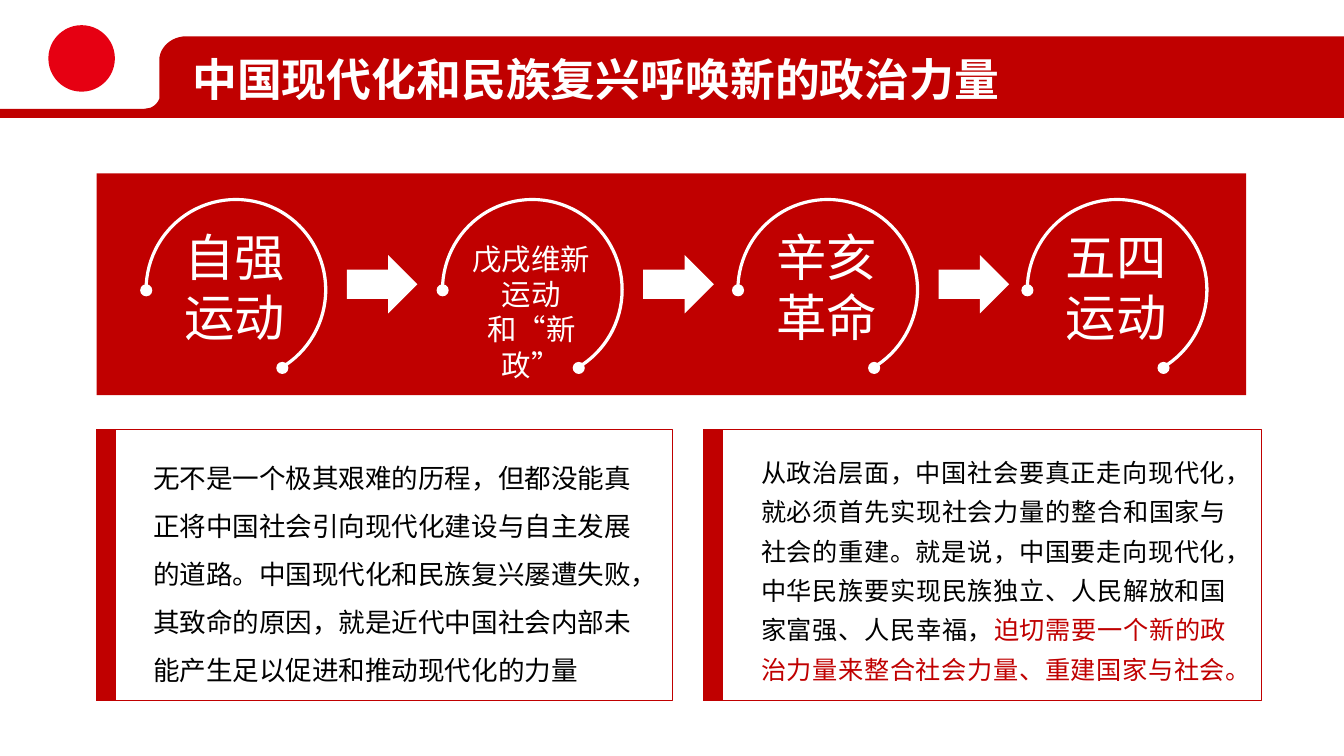
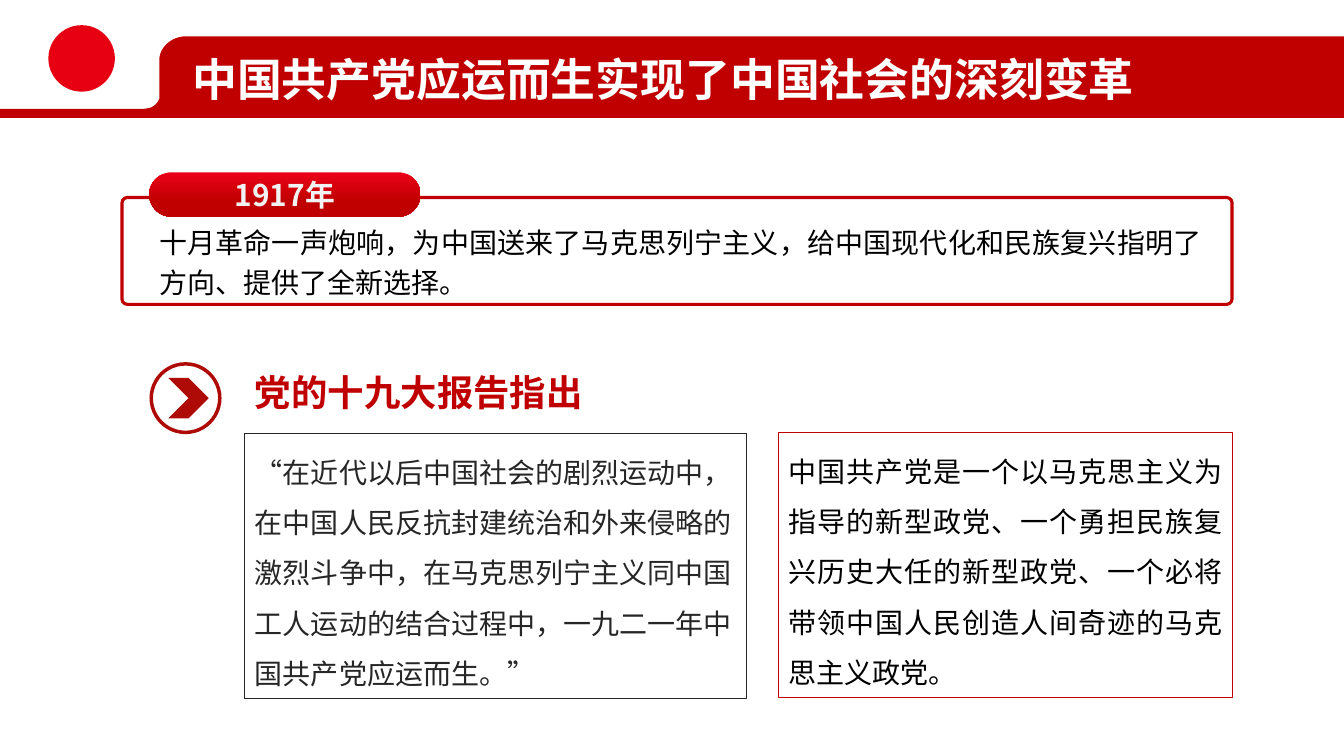
from lxml.etree import SubElement
from pptx import Presentation
from pptx.dml.color import RGBColor
from pptx.enum.lang import MSO_LANGUAGE_ID
from pptx.enum.shapes import MSO_SHAPE
from pptx.enum.text import MSO_ANCHOR, PP_ALIGN
from pptx.oxml.ns import qn
from pptx.util import Pt

PX = 9144
FONT = "Noto Sans CJK SC"
RED = RGBColor(0xC0, 0x00, 0x00)
BRIGHT_RED = RGBColor(0xE6, 0x00, 0x12)
BADGE_RED = RGBColor(0xEA, 0x01, 0x18)
DEEP_RED = RGBColor(0xAF, 0x0B, 0x06)
WHITE = RGBColor(0xFF, 0xFF, 0xFF)
PALE = RGBColor(0xF2, 0xF2, 0xF2)
DARK = RGBColor(0x26, 0x26, 0x26)
BLACK = RGBColor(0x00, 0x00, 0x00)


def curve(start, first, second, end, steps=12):
    points = []
    for step in range(steps + 1):
        t = step / steps
        weights = ((1 - t) ** 3, 3 * t * (1 - t) ** 2, 3 * t * t * (1 - t), t ** 3)
        corners = tuple(zip(start, first, second, end))
        points.append(tuple(sum(w * c for w, c in zip(weights, axis)) for axis in corners))
    return points


class SlideBuilder:
    def __init__(self, deck):
        self.deck = deck
        self.slide = None

    def new_slide(self, title):
        self.slide = self.deck.slides.add_slide(self.deck.slide_layouts[6])
        self.band()
        self.shape(MSO_SHAPE.OVAL, (48, 25, 66, 66), BRIGHT_RED)
        self.text((181, 20, 1100, 115), [title], 32, WHITE, bold=True, anchor=MSO_ANCHOR.MIDDLE)

    def band(self):
        outline = [(1333, 36), (1333, 117), (0, 117), (0, 108), (143, 108)]
        outline += curve((149, 107), (154, 105), (157, 101), (158, 98))
        outline += curve((158, 60), (158, 47), (170, 36), (185, 36))
        builder = self.slide.shapes.build_freeform(185 * PX, 36 * PX)
        builder.add_line_segments([(x * PX, y * PX) for x, y in outline])
        self.paint(builder.convert_to_shape(), RED, None, 0)

    def paint(self, shape, fill, line, width):
        shape.shadow.inherit = False
        if fill is None:
            shape.fill.background()
        else:
            shape.fill.solid()
            shape.fill.fore_color.rgb = fill
        if line is None:
            shape.line.fill.background()
        else:
            shape.line.color.rgb = line
            shape.line.width = Pt(width)

    def shape(self, kind, place, fill=None, line=None, width=1, adjust=()):
        shape = self.slide.shapes.add_shape(kind, *[value * PX for value in place])
        self.paint(shape, fill, line, width)
        for index, value in enumerate(adjust):
            shape.adjustments[index] = value
        return shape

    def text(self, place, paragraphs, size, color, **style):
        box = self.slide.shapes.add_textbox(*[value * PX for value in place])
        self.set_text(box, paragraphs, size, color, **style)
        return box

    def set_text(self, box, paragraphs, size, color, bold=False, align=PP_ALIGN.LEFT,
                 spacing=1.0, anchor=MSO_ANCHOR.TOP, wrap=True):
        frame = box.text_frame
        frame.word_wrap = wrap
        frame.vertical_anchor = anchor
        frame.text = "\n".join(paragraphs)
        for para in frame.paragraphs:
            para.alignment = align
            para.line_spacing = spacing
            for span in para.runs:
                self.style_span(span, size, color, bold)

    def style_span(self, span, size, color, bold=False):
        font = span.font
        font.size = Pt(size)
        font.bold = bold
        font.color.rgb = color
        font.name = FONT
        font.language_id = MSO_LANGUAGE_ID.SIMPLIFIED_CHINESE
        SubElement(font._element, qn("a:ea")).set("typeface", FONT)

    def stage(self, left, lines, size, drop):
        top = 197
        self.shape(MSO_SHAPE.BLOCK_ARC, (left, top, 180, 181), WHITE, WHITE, 1, (108, 36, 0.01))
        for across, down in ((130, 162), (-5, 85)):
            self.shape(MSO_SHAPE.OVAL, (left + across, top + down, 12, 12), WHITE)
        self.text((left + 20, top + drop, 138, 131), lines, size, WHITE, align=PP_ALIGN.CENTER)

    def panel(self, left, width):
        for part, fill in ((width, WHITE), (18, RED)):
            self.shape(MSO_SHAPE.RECTANGLE, (left, 426, part, 269), fill, RED)

    def badge(self, place, label):
        badge = self.shape(MSO_SHAPE.ROUNDED_RECTANGLE, place, RED, adjust=(0.5,))
        badge.fill.gradient()
        badge.fill.gradient_angle = 270
        for stop, color, position in zip(badge.fill.gradient_stops, (BADGE_RED, RED), (0, 0.65)):
            stop.color.rgb = color
            stop.position = position
        self.set_text(badge, [label], 21.3, PALE, bold=True, align=PP_ALIGN.CENTER,
                      anchor=MSO_ANCHOR.MIDDLE)

    def quote(self, place, content, color, line, align):
        box = self.shape(MSO_SHAPE.RECTANGLE, place, None, line, 0.75)
        self.set_text(box, [content], 20, color, align=align, spacing=1.5)


def movements(builder):
    builder.new_slide("中国现代化和民族复兴呼唤新的政治力量")
    builder.shape(MSO_SHAPE.RECTANGLE, (96, 172, 1140, 220), RED)
    stages = (
        (144, ["自强", "运动"], 36, 22),
        (438, ["戊戌维新运动和“新政”"], 21, 37),
        (731, ["辛亥革命"], 36, 22),
        (1018, ["五四运动"], 36, 22),
    )
    for stage in stages:
        builder.stage(*stage)
    for left, *_ in stages[:-1]:
        builder.shape(MSO_SHAPE.RIGHT_ARROW, (left + 200, 253, 70, 58), WHITE)

    builder.panel(96, 571)
    builder.text(
        (142, 438, 504, 250),
        ["无不是一个极其艰难的历程，但都没能真正将中国社会引向现代化建设与自主发展的道路。"
         "中国现代化和民族复兴屡遭失败，其致命的原因，就是近代中国社会内部未能产生足以促进和推动现代化的力量"],
        19, BLACK, spacing=1.5)
    builder.panel(698, 553)
    box = builder.text(
        (745, 440, 481, 246),
        ["从政治层面，中国社会要真正走向现代化，就必须首先实现社会力量的整合和国家与社会的重建。"
         "就是说，中国要走向现代化，中华民族要实现民族独立、人民解放和国家富强、人民幸福，"],
        18, BLACK, align=PP_ALIGN.JUSTIFY, spacing=1.3)
    span = box.text_frame.paragraphs[0].add_run()
    span.text = "迫切需要一个新的政治力量来整合社会力量、重建国家与社会。"
    builder.style_span(span, 18, RED)


def founding(builder):
    builder.new_slide("中国共产党应运而生实现了中国社会的深刻变革")
    builder.text(
        (148, 212, 1054, 91),
        ["十月革命一声炮响，为中国送来了马克思列宁主义，给中国现代化和民族复兴指明了方向、提供了全新选择。"],
        20, BLACK, align=PP_ALIGN.JUSTIFY, spacing=1.2)
    builder.shape(MSO_SHAPE.ROUNDED_RECTANGLE, (121, 196, 1101, 106), None, RED, 2.25, (0.05,))
    builder.badge((148, 171, 269, 44), "1917年")

    builder.shape(MSO_SHAPE.OVAL, (150, 361, 68, 68), None, DEEP_RED, 2.5)
    builder.shape(MSO_SHAPE.CHEVRON, (167, 375, 40, 40), DEEP_RED, adjust=(0.5,))
    builder.text((243, 362, 348, 54), ["党的十九大报告指出"], 26, RED, bold=True, wrap=False)
    builder.quote(
        (243, 430, 497, 263),
        "“在近代以后中国社会的剧烈运动中，在中国人民反抗封建统治和外来侵略的激烈斗争中，"
        "在马克思列宁主义同中国工人运动的结合过程中，一九二一年中国共产党应运而生。”",
        DARK, DARK, PP_ALIGN.LEFT)
    builder.quote(
        (772, 429, 450, 263),
        "中国共产党是一个以马克思主义为指导的新型政党、一个勇担民族复兴历史大任的新型政党、"
        "一个必将带领中国人民创造人间奇迹的马克思主义政党。",
        BLACK, RED, PP_ALIGN.JUSTIFY)


def main():
    deck = Presentation()
    deck.slide_width = 1333 * PX
    deck.slide_height = 750 * PX
    builder = SlideBuilder(deck)
    movements(builder)
    founding(builder)
    deck.save("out.pptx")


if __name__ == "__main__":
    main()
